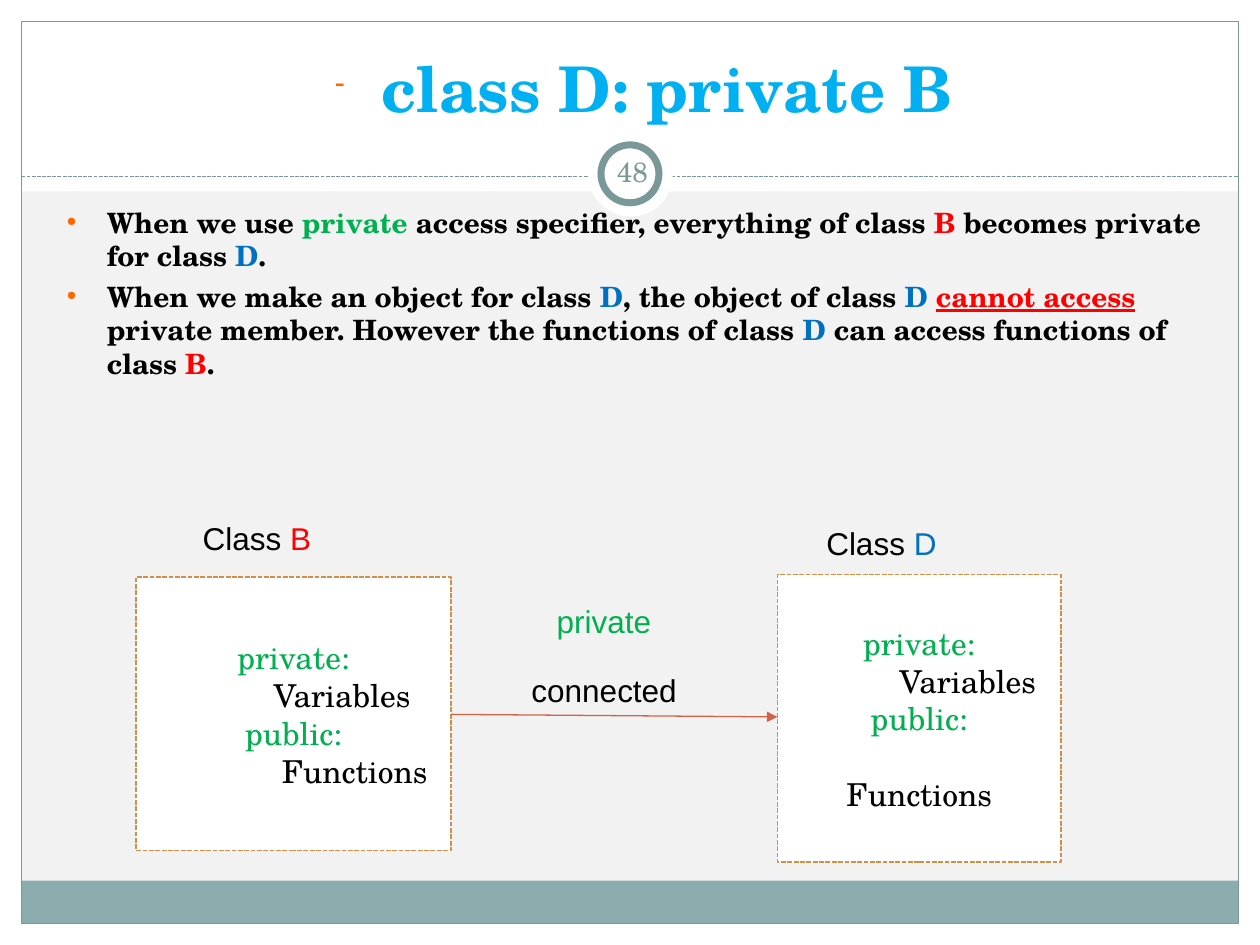
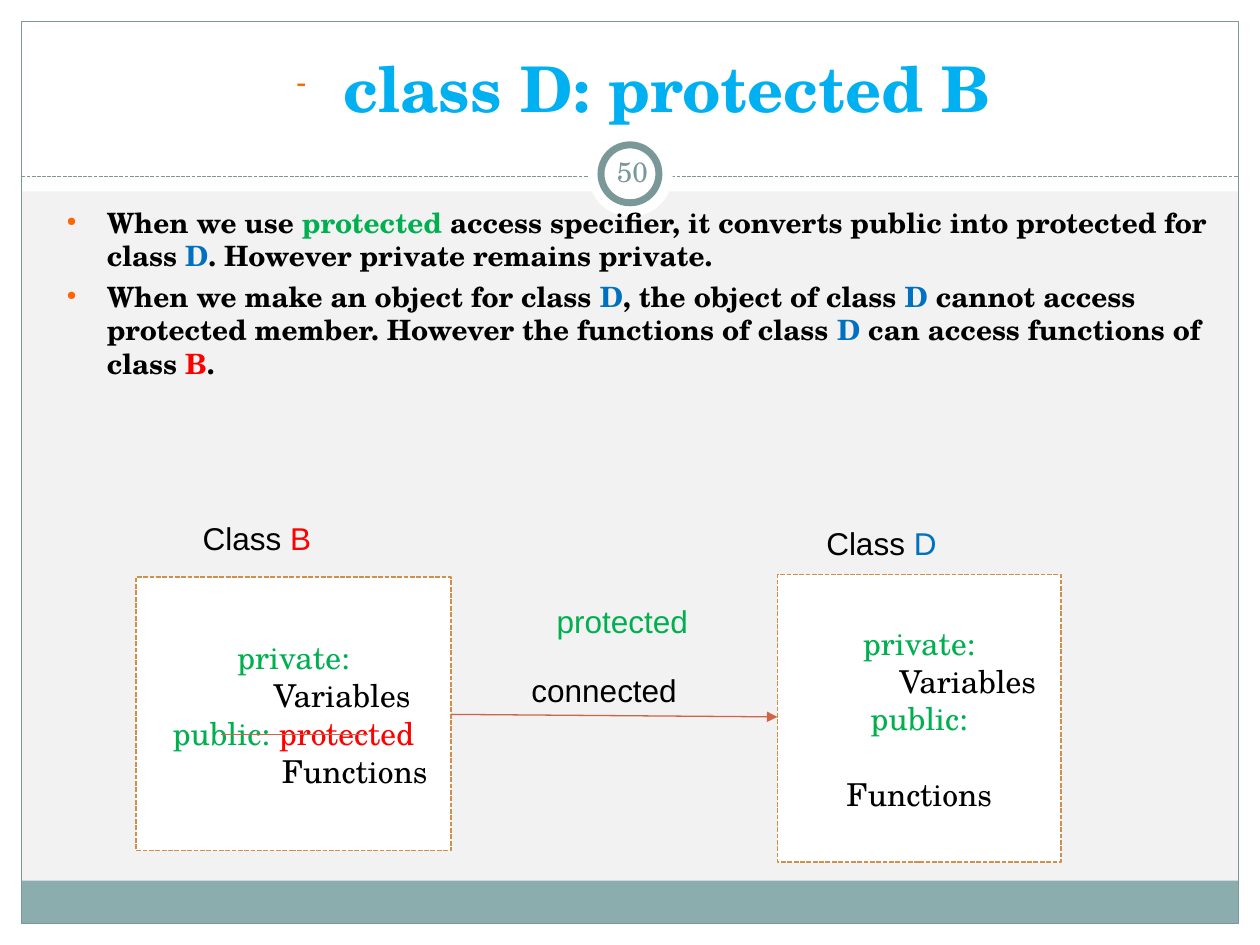
"""Build two slides on private and protected inheritance in C++."""
from typing import NamedTuple, Optional

from lxml.etree import SubElement
from pptx import Presentation
from pptx.dml.color import RGBColor
from pptx.enum.dml import MSO_LINE_DASH_STYLE as Dash
from pptx.enum.shapes import MSO_CONNECTOR as Connector
from pptx.enum.shapes import MSO_SHAPE as Preset
from pptx.enum.text import MSO_ANCHOR as Anchor
from pptx.enum.text import PP_ALIGN as Align
from pptx.oxml.ns import qn
from pptx.util import Inches, Pt

WIDTH, HEIGHT = Inches(10), Inches(7.5)
COLUMNS, ROWS = 100, 75
SERIF, SANS = "TeX Gyre Schola", "Arial"
WHITE, BLACK, PAPER = "FFFFFF", "000000", "F2F2F2"
SLATE, BAND, SKY, ORANGE = "7B9899", "8CADAE", "00B0F0", "FF6600"
GREEN, RED, BLUE = "00B050", "FF0000", "0070C0"
BOX_LINE, ARROW_LINE = "D19049", "D16349"


class Area(NamedTuple):
    left: float
    top: float
    width: float
    height: float


class Run(NamedTuple):
    text: str
    color: str = BLACK
    underline: bool = False


class Paragraph(NamedTuple):
    runs: list[Run]
    indent: float = 0
    hanging: float = 0
    space_before: float = 0
    bullet: str = ""


class Style(NamedTuple):
    size: float
    font: str = SERIF
    bold: bool = False
    align: Align = Align.LEFT
    anchor: Anchor = Anchor.TOP
    inset: float = 1
    inset_top: float = 0.5


class Panel(NamedTuple):
    area: Area
    preset: Preset = Preset.RECTANGLE
    fill: Optional[str] = WHITE
    line: Optional[str] = None
    weight: float = 0.75
    dash: Optional[Dash] = None


class Line(NamedTuple):
    start: tuple[float, float]
    end: tuple[float, float]
    color: str = ARROW_LINE
    dash: Optional[Dash] = None
    arrow: bool = False


class Lesson(NamedTuple):
    number: str
    specifier: str
    points: list[list[Run]]
    public_line: list[Run]
    strike: Optional[Line] = None


TITLE = Style(36, bold=True, align=Align.CENTER, anchor=Anchor.BOTTOM, inset_top=0.3)
BODY = Style(16, bold=True)
NUMBER = Style(16, align=Align.CENTER, anchor=Anchor.MIDDLE, inset=0.5)
MEMBERS = Style(18, align=Align.CENTER, anchor=Anchor.MIDDLE)
LABEL = Style(18, SANS)
LABEL_WIDTH, LABEL_HEIGHT = 15, 4
MARGIN = 1.7
INNER = COLUMNS - 2 * MARGIN
FRAME = [
    Panel(Area(0, ROWS - MARGIN, COLUMNS, MARGIN)),
    Panel(Area(0, 0, COLUMNS, 15.2)),
    Panel(Area(0, 0, MARGIN, ROWS)),
    Panel(Area(COLUMNS - MARGIN, 0, MARGIN, ROWS)),
    Panel(Area(MARGIN, 69.9, INNER, 3.4), fill=BAND),
    Panel(Area(MARGIN, MARGIN, INNER, ROWS - 2 * MARGIN), fill=None, line=SLATE),
]
RULE = Line((MARGIN, 14), (COLUMNS - MARGIN, 14), SLATE, Dash.SQUARE_DOT)
BADGE = [
    Panel(Area(46.7, 10.5, 6.7, 6.7), Preset.OVAL),
    Panel(Area(47.7, 11.5, 4.6, 4.6), Preset.OVAL, line=SLATE, weight=4),
]
BOX_B, BOX_D = Area(10.8, 45.8, 25, 21.7), Area(61.7, 45.6, 22.5, 22.8)
LINK = Line((35.8, 56.7), (61.7, 56.9), arrow=True)
B, D, STOP = Run("B", RED), Run("D", BLUE), Run(".")
PUBLIC = Run("public:", GREEN)
OBJECT_START = [Run("When we make an object for class "), D, Run(", the object of class ")]
OBJECT_END = [D, Run(" can access functions of class "), B, STOP]

LESSONS = [
    Lesson(
        "48", "private",
        [
            [Run("When we use"), Run(" private ", GREEN),
             Run("access specifier, everything of class "), B,
             Run(" becomes private for class "), D, STOP],
            [*OBJECT_START, Run("D ", BLUE), Run("cannot access ", RED, True),
             Run("private member. However the functions of class "), *OBJECT_END],
        ],
        [PUBLIC],
    ),
    Lesson(
        "50", "protected",
        [
            [Run("When we use"), Run(" protected ", GREEN),
             Run("access specifier, it converts public into protected for class "), D,
             Run(". However private remains private.")],
            [*OBJECT_START, D,
             Run(" cannot access protected member. However the functions of class "),
             *OBJECT_END],
        ],
        [Run("public: ", GREEN), Run("protected", RED)],
        Line((17.5, 58.3), (29.2, 58.3)),
    ),
]


def across(columns: float) -> int:
    return round(WIDTH * columns / COLUMNS)


def down(rows: float) -> int:
    return round(HEIGHT * rows / ROWS)


def place(area: Area) -> tuple[int, int, int, int]:
    return across(area.left), down(area.top), across(area.width), down(area.height)


def rgb(color: str) -> RGBColor:
    return RGBColor.from_string(color)


def add_bullet(properties, character: str) -> None:
    color = SubElement(properties, qn("a:buClr"))
    SubElement(color, qn("a:srgbClr"), val=ORANGE)
    SubElement(properties, qn("a:buSzPct"), val="45000")
    SubElement(properties, qn("a:buChar"), char=character)


def write(shape, paragraphs: list[Paragraph], style: Style) -> None:
    frame = shape.text_frame
    frame.word_wrap = True
    frame.vertical_anchor = style.anchor
    frame.margin_left = frame.margin_right = across(style.inset)
    frame.margin_top, frame.margin_bottom = down(style.inset_top), down(0.5)
    for index, content in enumerate(paragraphs):
        paragraph = frame.add_paragraph() if index else frame.paragraphs[0]
        paragraph.alignment = style.align
        paragraph.space_before = Pt(content.space_before)
        properties = paragraph._p.get_or_add_pPr()
        properties.set("marL", str(across(content.indent)))
        properties.set("indent", str(-across(content.hanging)))
        if content.bullet:
            add_bullet(properties, content.bullet)
        paragraph.font.size = Pt(style.size)
        paragraph.font.name = style.font
        paragraph.font.bold = style.bold
        for part in content.runs:
            run = paragraph.add_run()
            run.text = part.text
            run.font.color.rgb = rgb(part.color)
            if part.underline:
                run.font.underline = True


def add_text(slide, area: Area, paragraphs: list[Paragraph], style: Style) -> None:
    write(slide.shapes.add_textbox(*place(area)), paragraphs, style)


def add_panel(slide, panel: Panel):
    shape = slide.shapes.add_shape(panel.preset, *place(panel.area))
    shape.shadow.inherit = False
    if panel.fill:
        shape.fill.solid()
        shape.fill.fore_color.rgb = rgb(panel.fill)
    else:
        shape.fill.background()
    if panel.line:
        shape.line.color.rgb = rgb(panel.line)
        shape.line.width = Pt(panel.weight)
        if panel.dash:
            shape.line.dash_style = panel.dash
    else:
        shape.line.fill.background()
    return shape


def add_line(slide, line: Line) -> None:
    (left, top), (right, bottom) = line.start, line.end
    connector = slide.shapes.add_connector(
        Connector.STRAIGHT, across(left), down(top), across(right), down(bottom))
    connector.line.color.rgb = rgb(line.color)
    connector.line.width = Pt(0.75)
    if line.dash:
        connector.line.dash_style = line.dash
    if line.arrow:
        SubElement(connector.line._get_or_add_ln(), qn("a:tailEnd"), type="triangle")
    SubElement(connector._element.spPr, qn("a:effectLst"))


def add_members(slide, area: Area, public_line: list[Run], functions: Paragraph) -> None:
    box = add_panel(slide, Panel(area, line=BOX_LINE, weight=0.91, dash=Dash.SQUARE_DOT))
    members = [
        Paragraph([Run("private:", GREEN)]),
        Paragraph([Run("Variables")], indent=7.7),
        Paragraph(public_line),
        functions,
    ]
    write(box, members, MEMBERS)


def add_frame(slide, number: str) -> None:
    slide.background.fill.solid()
    slide.background.fill.fore_color.rgb = rgb(PAPER)
    for panel in FRAME:
        add_panel(slide, panel)
    add_line(slide, RULE)
    for panel in BADGE:
        add_panel(slide, panel)
    add_text(slide, Area(47.7, 11.2, 5, 4.8), [Paragraph([Run(number, SLATE)])], NUMBER)


def add_lesson(presentation, lesson: Lesson) -> None:
    slide = presentation.slides.add_slide(presentation.slide_layouts[6])
    add_frame(slide, lesson.number)
    title = Run(f"class D: {lesson.specifier} B", SKY)
    add_text(slide, Area(2.8, 3, 95.5, 7.4), [Paragraph([title], 4.8, 3.7, bullet="-")], TITLE)
    points = [Paragraph(runs, 4.3, 3.2, 4, "●") for runs in lesson.points]
    add_text(slide, Area(3.2, 15.8, 93.6, 56.8), points, BODY)
    functions = [Run("Functions")]
    add_members(slide, BOX_B, lesson.public_line, Paragraph(functions, indent=9.7))
    add_members(slide, BOX_D, [PUBLIC], Paragraph(functions, space_before=21.5))
    add_line(slide, LINK)
    labels = [
        (41.2, 52.8, [Run("connected")]),
        (15.1, 40.7, [Run("Class "), B]),
        (64.6, 41.1, [Run("Class "), D]),
        (43.2, 47.3, [Run(lesson.specifier, GREEN)]),
    ]
    for left, top, runs in labels:
        add_text(slide, Area(left, top, LABEL_WIDTH, LABEL_HEIGHT), [Paragraph(runs)], LABEL)
    if lesson.strike:
        add_line(slide, lesson.strike)


def main() -> None:
    presentation = Presentation()
    presentation.slide_width, presentation.slide_height = WIDTH, HEIGHT
    for lesson in LESSONS:
        add_lesson(presentation, lesson)
    presentation.save("out.pptx")


if __name__ == "__main__":
    main()
